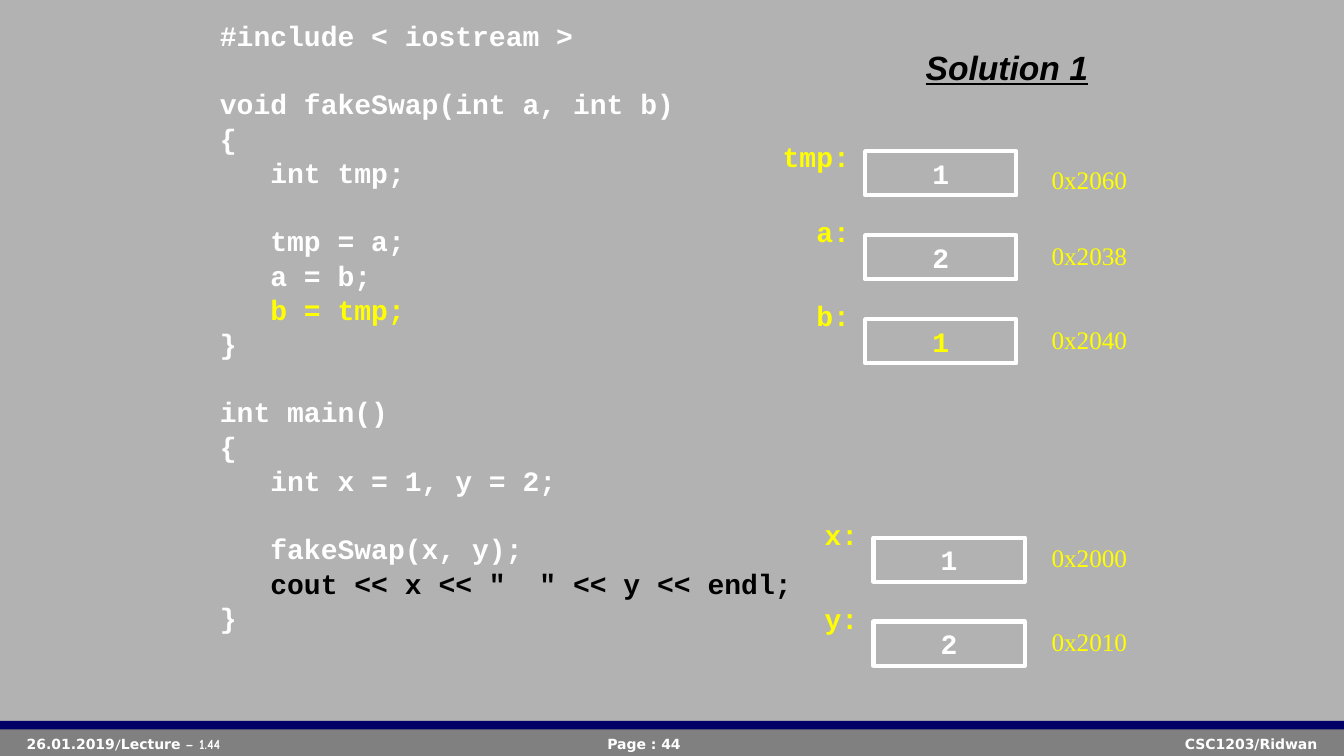
"""Build the "Solution 1" slide: a swap function and its memory cells."""
from dataclasses import dataclass

from pptx import Presentation
from pptx.dml.color import RGBColor
from pptx.enum.shapes import MSO_SHAPE
from pptx.enum.text import MSO_ANCHOR, PP_ALIGN
from pptx.util import Pt

RECTANGLE = MSO_SHAPE.RECTANGLE
TOP = MSO_ANCHOR.TOP
LEFT, CENTER, RIGHT = PP_ALIGN.LEFT, PP_ALIGN.CENTER, PP_ALIGN.RIGHT
TITLE_ONLY = 5


@dataclass(frozen=True)
class Theme:
    background: str = "B2B2B2"
    bar: str = "808080"
    rule: str = "000066"
    light: str = "FFFFFF"
    accent: str = "FFFF00"
    dark: str = "000000"
    code_font: str = "Courier New"
    title_font: str = "Arial"
    address_font: str = "Times New Roman"
    footer_font: str = "DejaVu Sans"
    footer_detail_font: str = "Comic Neue"
    title_size: int = 24
    code_size: int = 20
    address_size: int = 18
    footer_size: int = 10


class SlideBuilder:
    def __init__(self, slide, theme):
        self.slide = slide
        self.theme = theme
        fill = slide.background.fill
        fill.solid()
        fill.fore_color.rgb = RGBColor.from_string(theme.background)

    def style(self, paragraph, name, size, color, bold=True, align=LEFT):
        paragraph.alignment = align
        font = paragraph.font
        font.name, font.size, font.bold = name, Pt(size), bold
        font.color.rgb = RGBColor.from_string(color)

    def title(self, text, left, top, width, height):
        title = self.slide.shapes.title
        title.left, title.top = Pt(left), Pt(top)
        title.width, title.height = Pt(width), Pt(height)
        frame = title.text_frame
        frame.text = text
        frame.vertical_anchor = TOP
        paragraph = frame.paragraphs[0]
        self.style(paragraph, self.theme.title_font, self.theme.title_size, self.theme.dark)
        paragraph.font.italic = paragraph.font.underline = True

    def bar(self, top, height, color):
        bar = self.slide.shapes.add_shape(RECTANGLE, 0, Pt(top), Pt(960), Pt(height))
        bar.shadow.inherit = False
        bar.fill.solid()
        bar.fill.fore_color.rgb = RGBColor.from_string(color)
        bar.line.fill.background()

    def text_box(self, left, top, width, height):
        box = self.slide.shapes.add_textbox(Pt(left), Pt(top), Pt(width), Pt(height))
        box.text_frame.word_wrap = True
        return box.text_frame

    def footer(self, parts, left, width, align):
        theme = self.theme
        paragraph = self.text_box(left, 522, width, 18).paragraphs[0]
        self.style(paragraph, theme.footer_font, theme.footer_size, theme.light, align=align)
        for text, font_name in parts:
            run = paragraph.add_run()
            run.text = text
            run.font.name = font_name

    def code(self, source, colors, left, top, width, height):
        theme = self.theme
        frame = self.text_box(left, top, width, height)
        line_pitch, paragraph_gap = 24.6, 10
        paragraph, space = frame.paragraphs[0], 0
        for line in source.splitlines():
            if not line:
                space += line_pitch
                continue
            if paragraph is None:
                paragraph = frame.add_paragraph()
            paragraph.text = line
            paragraph.line_spacing = 0.6
            paragraph.space_before = Pt(space)
            color = colors.get(line.strip(), theme.light)
            self.style(paragraph, theme.code_font, theme.code_size, color)
            paragraph, space = None, paragraph_gap

    def label(self, text, left, top):
        theme = self.theme
        frame = self.text_box(left, top, 108, 31)
        frame.text = text
        self.style(frame.paragraphs[0], theme.code_font, theme.code_size, theme.accent)

    def cell(self, value, left, top, color):
        theme = self.theme
        cell = self.slide.shapes.add_shape(RECTANGLE, Pt(left), Pt(top), Pt(108), Pt(31.5))
        cell.shadow.inherit = False
        cell.fill.background()
        cell.line.color.rgb = RGBColor.from_string(theme.light)
        cell.line.width = Pt(3)
        frame = cell.text_frame
        frame.text = value
        frame.vertical_anchor = TOP
        frame.margin_top = frame.margin_bottom = Pt(3.6)
        self.style(frame.paragraphs[0], theme.code_font, theme.code_size, color, align=CENTER)

    def address(self, text, top):
        theme = self.theme
        frame = self.text_box(744, top, 84, 29)
        frame.text = text
        self.style(frame.paragraphs[0], theme.address_font, theme.address_size,
                   theme.accent, bold=False)


SOURCE = """\
#include < iostream >

void fakeSwap(int a, int b)
{
   int tmp;

   tmp = a;
   a = b;
   b = tmp;
}

int main()
{
   int x = 1, y = 2;

   fakeSwap(x, y);
   cout << x << "  " << y << endl;
}"""


def main():
    theme = Theme()
    presentation = Presentation()
    presentation.slide_width, presentation.slide_height = Pt(960), Pt(540)
    slide = presentation.slides.add_slide(presentation.slide_layouts[TITLE_ONLY])
    builder = SlideBuilder(slide, theme)

    builder.bar(519, 21, theme.bar)
    builder.bar(515, 6, theme.rule)
    main_font, detail_font = theme.footer_font, theme.footer_detail_font
    date_parts = [("26.01.2019", main_font), ("/", detail_font),
                  ("Lecture", main_font), (" – 1.44", detail_font)]
    builder.footer(date_parts, 12, 236, LEFT)
    builder.footer([("CSC1203/Ridwan", main_font)], 460, 488, RIGHT)
    builder.footer([("Page : 44", main_font)], 360, 200, CENTER)

    builder.title("Solution 1", 654, 30, 132, 36)
    colors = {"b = tmp;": theme.accent, 'cout << x << "  " << y << endl;': theme.dark}
    builder.code(SOURCE, colors, 150, 18, 426, 490)

    variables = [
        ("tmp:", "1", "0x2060", 618, 108, 552, 96, 114, theme.light),
        ("a:", "2", "0x2038", 618, 168, 576, 150, 168, theme.light),
        ("b:", "1", "0x2040", 618, 228, 576, 210, 228, theme.accent),
        ("x:", "1", "0x2000", 624, 384, 582, 366, 384, theme.light),
        ("y:", "2", "0x2010", 624, 444, 582, 426, 444, theme.light),
    ]
    for (name, value, address, cell_left, cell_top, label_left, label_top,
         address_top, color) in variables:
        builder.cell(value, cell_left, cell_top, color)
        builder.label(name, label_left, label_top)
        builder.address(address, address_top)

    presentation.save("out.pptx")


if __name__ == "__main__":
    main()
